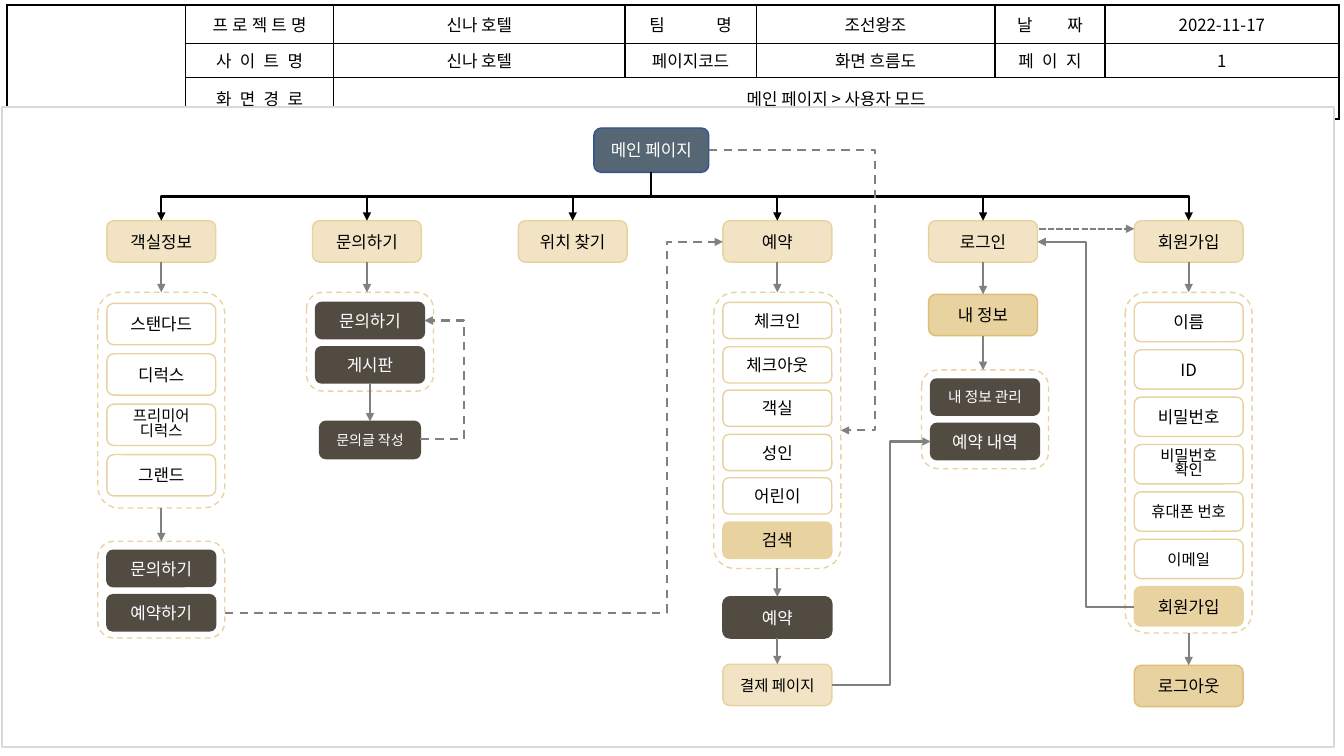
from dataclasses import dataclass

from pptx import Presentation
from pptx.dml.color import RGBColor
from pptx.enum.dml import MSO_LINE
from pptx.enum.shapes import MSO_CONNECTOR, MSO_SHAPE
from pptx.enum.text import MSO_ANCHOR, PP_ALIGN
from pptx.oxml.ns import qn
from pptx.util import Emu, Pt
from lxml.etree import SubElement

EMU_PER_PX = 9144
TOP, LEFT, BOTTOM, RIGHT = range(4)


@dataclass(frozen=True)
class Theme:
    font: str = "Noto Sans CJK KR"
    black: str = "000000"
    white: str = "FFFFFF"
    gray: str = "808080"
    frame: str = "D9D9D9"
    slate: str = "566773"
    navy: str = "325491"
    cream: str = "F1E3C4"
    sand: str = "E8D2A0"
    gold: str = "DEBD74"
    brown: str = "524B42"
    body: float = 12
    small: float = 11
    compact: float = 10.5
    tiny: float = 10
    thin: float = 1
    thick: float = 1.5


THEME = Theme()
# style name: (fill, line, text colour)
STYLES = {
    "root": (THEME.slate, THEME.navy, THEME.white),
    "menu": (THEME.cream, THEME.sand, THEME.black),
    "item": (THEME.white, THEME.sand, THEME.black),
    "button": (THEME.sand, THEME.sand, THEME.black),
    "member": (THEME.sand, THEME.gold, THEME.black),
    "dark": (THEME.brown, THEME.brown, THEME.white),
}


def px(length):
    return Emu(int(length * EMU_PER_PX))


def rgb(color):
    return RGBColor.from_string(color)


def write_text(frame, text, size=THEME.body, color=THEME.black, line_spacing=None):
    """Text is a string, one paragraph a line, or a list of (text, letter spacing) spans."""
    frame.vertical_anchor = MSO_ANCHOR.MIDDLE
    lines = [[(line, 0)] for line in text.split("\n")] if isinstance(text, str) else [text]
    for index, spans in enumerate(lines):
        para = frame.add_paragraph() if index else frame.paragraphs[0]
        para.alignment = PP_ALIGN.CENTER
        if line_spacing:
            para.line_spacing = line_spacing
        for words, spacing in spans:
            span = para.add_run()
            span.text = words
            span.font.size = Pt(size)
            span.font.color.rgb = rgb(color)
            span.font.name = THEME.font
            properties = span.font._element
            SubElement(properties, qn("a:ea"), typeface=THEME.font)
            if spacing:
                properties.set("spc", str(int(spacing * 100)))


def add_box(page, x, y, w, h, fill, line, kind=MSO_SHAPE.ROUNDED_RECTANGLE):
    box = page.shapes.add_shape(kind, px(x), px(y), px(w), px(h))
    box.shadow.inherit = False
    if fill:
        box.fill.solid()
        box.fill.fore_color.rgb = rgb(fill)
    else:
        box.fill.background()
    box.line.color.rgb = rgb(line)
    box.line.width = Pt(THEME.thin)
    return box


def add_node(page, text, x, y, w=108, h=41, style="item", size=THEME.body):
    fill, line, color = STYLES[style]
    node = add_box(page, x, y, w, h, fill, line)
    frame = node.text_frame
    frame.word_wrap = True
    frame.margin_left = frame.margin_right = frame.margin_top = frame.margin_bottom = 0
    write_text(frame, text, size, color, 0.8 if "\n" in text else None)
    return node


def add_panel(page, x, y, h, items, pitch, item_height, inset):
    """Dashed frame holding a column of (text, style, size) nodes; returns frame and nodes."""
    panel = add_box(page, x, y, 126, h, None, THEME.sand)
    panel.line.dash_style = MSO_LINE.DASH
    nodes = [add_node(page, text, x + 9, round(y + inset + pitch * row), h=item_height, style=style, size=size)
             for row, (text, style, size) in enumerate(items)]
    return panel, nodes


def side(shape, site):
    """Middle of one side of a shape, in px."""
    across, down = {TOP: (0.5, 0), LEFT: (0, 0.5), BOTTOM: (0.5, 1), RIGHT: (1, 0.5)}[site]
    return (round((shape.left + shape.width * across) / EMU_PER_PX),
            round((shape.top + shape.height * down) / EMU_PER_PX))


def add_arrow(page, start, end, color=THEME.gray, dash=None, kind=MSO_CONNECTOR.STRAIGHT):
    arrow = page.shapes.add_connector(kind, *map(px, (*start, *end)))
    arrow.line.color.rgb = rgb(color)
    arrow.line.width = Pt(THEME.thick)
    if dash:
        arrow.line.dash_style = dash
    properties = arrow._element.spPr
    SubElement(properties.find(qn("a:ln")), qn("a:tailEnd"), type="triangle")
    SubElement(properties, qn("a:effectLst"))
    return arrow


def add_drop(page, upper, lower):
    """Vertical arrow from one shape down to the next."""
    start, goal = side(upper, BOTTOM), side(lower, TOP)
    arrow = add_arrow(page, start, (start[0], goal[1]))
    arrow.begin_connect(upper, BOTTOM)
    if start[0] == goal[0]:
        arrow.end_connect(lower, TOP)


def add_side_elbow(page, start, end, middle, dash=None):
    """Elbow arrow that runs sideways, then vertically at x = middle."""
    arrow = add_arrow(page, start, end, dash=dash, kind=MSO_CONNECTOR.ELBOW)
    share = round((middle - start[0]) / (end[0] - start[0]) * 100000)
    values = arrow._element.spPr.find(qn("a:prstGeom")).find(qn("a:avLst"))
    SubElement(values, qn("a:gd"), name="adj1", fmla=f"val {share}")


def add_down_elbow(page, start, end):
    """Elbow arrow that leaves downwards: a sideways elbow turned a quarter."""
    center_x, center_y = (start[0] + end[0]) / 2, (start[1] + end[1]) / 2
    half_run, half_drop = abs(end[0] - start[0]) / 2, (end[1] - start[1]) / 2
    to_right = end[0] > start[0]
    reach = -half_drop if to_right else half_drop
    arrow = add_arrow(page, (center_x - reach, center_y - half_run), (center_x + reach, center_y + half_run),
                      THEME.black, kind=MSO_CONNECTOR.ELBOW)
    arrow._element.spPr.find(qn("a:xfrm")).set("rot", str((270 if to_right else 90) * 60000))


def add_header(page, x, y):
    widths, heights = [177, 147, 289, 130, 237, 109, 232], [38, 34, 38]
    rows = [
        ["", [("프로젝트명", 3)], "신나 호텔", [("팀", 37), ("명", -1.5)], "조선왕조", [("날", 25), ("짜", 0)], "2022-11-17"],
        ["", [("사이트명", 6)], "신나 호텔", "페이지코드", "화면 흐름도", [("페이", 6), ("지", 0)], "1"],
        ["", [("화면경로", 6)], "메인 페이지 > 사용자 모드"],
    ]
    table = page.shapes.add_table(3, 7, px(x), px(y), px(sum(widths)), px(sum(heights))).table
    table.first_row = table.horz_banding = False
    for column, width in zip(table.columns, widths):
        column.width = px(width)
    for row, height in zip(table.rows, heights):
        row.height = px(height)
    table.cell(0, 0).merge(table.cell(2, 0))
    table.cell(2, 2).merge(table.cell(2, 6))
    for r, texts in enumerate(rows):
        for c, text in enumerate(texts):
            cell = table.cell(r, c)
            if cell.is_spanned:
                continue
            if text:
                write_text(cell.text_frame, text)
                cell.vertical_anchor = MSO_ANCHOR.MIDDLE
            outer = {"L": c == 0, "R": c + cell.span_width == 7, "T": r == 0, "B": r + cell.span_height == 3}
            properties = cell._tc.get_or_add_tcPr()
            for edge, is_outer in outer.items():
                width = Pt(THEME.thick if is_outer else THEME.thin)
                border = SubElement(properties, qn(f"a:ln{edge}"), w=str(int(width)))
                SubElement(SubElement(border, qn("a:solidFill")), qn("a:srgbClr"), val=THEME.black)
            cell.fill.background()


def styled(names, style="item", size=THEME.body):
    return [(name, style, size) for name in names]


def add_flow(page, x, y, w, h):
    add_box(page, x, y, w, h, THEME.white, THEME.frame, MSO_SHAPE.RECTANGLE)
    menu_y, panel_y, bus_y = y + 113, y + 184, y + 89
    root = add_node(page, "메인 페이지", x + 587, y + 21, 114, 44, "root")
    names = ["객실정보", "문의하기", "위치 찾기", "예약", "로그인", "회원가입"]
    menus = [add_node(page, name, round(x + 104 + 203.8 * i), menu_y, style="menu") for i, name in enumerate(names)]
    rooms, inquiry, _, booking, login, signup = menus
    for menu in (rooms, signup):
        add_down_elbow(page, side(root, BOTTOM), side(menu, TOP))
    for menu in menus[1:-1]:
        goal = side(menu, TOP)
        add_arrow(page, (goal[0], bus_y), goal, THEME.black).end_connect(menu, TOP)

    room_panel, _ = add_panel(page, x + 95, panel_y, 214, styled(["스탠다드", "디럭스"])
                              + styled(["프리미어\n디럭스"], size=THEME.small) + styled(["그랜드"]), 50, 41, 11)
    action_panel, actions = add_panel(page, x + 95, y + 431, 96, styled(["문의하기", "예약하기"], "dark"), 44, 36, 9)
    inquiry_panel, posts = add_panel(page, x + 302, panel_y, 98, styled(["문의하기", "게시판"], "dark"), 43.5, 36, 10)
    writing = add_node(page, "문의글 작성", x + 315, y + 312, 100, 37, "dark", THEME.tiny)
    search_panel, _ = add_panel(page, x + 706, panel_y, 274, styled(["체크인", "체크아웃", "객실", "성인", "어린이"])
                                + styled(["검색"], "button"), 43.6, 36, 10)
    reserve = add_node(page, "예약", x + 715, y + 486, style="dark")
    payment = add_node(page, "결제 페이지", x + 715, y + 553, style="menu", size=THEME.small)
    profile = add_node(page, "내 정보", x + 919, y + 186, style="member")
    profile_panel, records = add_panel(page, x + 912, y + 261, 98, styled(["내 정보 관리"], "dark", THEME.compact)
                                       + styled(["예약 내역"], "dark"), 44, 36, 9)
    form_panel, fields = add_panel(page, x + 1114, panel_y, 338, styled(["이름", "ID", "비밀번호"])
                                   + styled(["비밀번호\n확인", "휴대폰 번호", "이메일"], size=THEME.small)
                                   + styled(["회원가입"], "button"), 47, 39, 10)
    logout = add_node(page, "로그아웃", x + 1123, y + 554, style="member")

    for chain in ([rooms, room_panel, action_panel], [inquiry, inquiry_panel], [posts[1], writing],
                  [booking, search_panel, reserve, payment], [login, profile, profile_panel],
                  [signup, form_panel, logout]):
        for upper, lower in zip(chain, chain[1:]):
            add_drop(page, upper, lower)

    add_arrow(page, (x + 1029, y + 121), (x + 1123, y + 121), dash=MSO_LINE.SQUARE_DOT)
    add_side_elbow(page, side(fields[-1], LEFT), side(login, RIGHT), x + 1075)
    add_side_elbow(page, (x + 221, side(actions[1], RIGHT)[1]), side(booking, LEFT), x + 659, MSO_LINE.DASH)
    add_side_elbow(page, side(root, RIGHT), side(search_panel, RIGHT), x + 866, MSO_LINE.DASH)
    add_side_elbow(page, side(payment, RIGHT), side(records[1], LEFT), x + 881)
    add_side_elbow(page, side(writing, RIGHT), side(posts[0], RIGHT), x + 458, MSO_LINE.DASH)


def main():
    deck = Presentation()
    deck.slide_width, deck.slide_height = px(1333), px(750)
    page = deck.slides.add_slide(deck.slide_layouts[6])
    add_header(page, 7, 5)
    add_flow(page, 2, 106, 1321, 635)
    deck.save("out.pptx")


if __name__ == "__main__":
    main()
